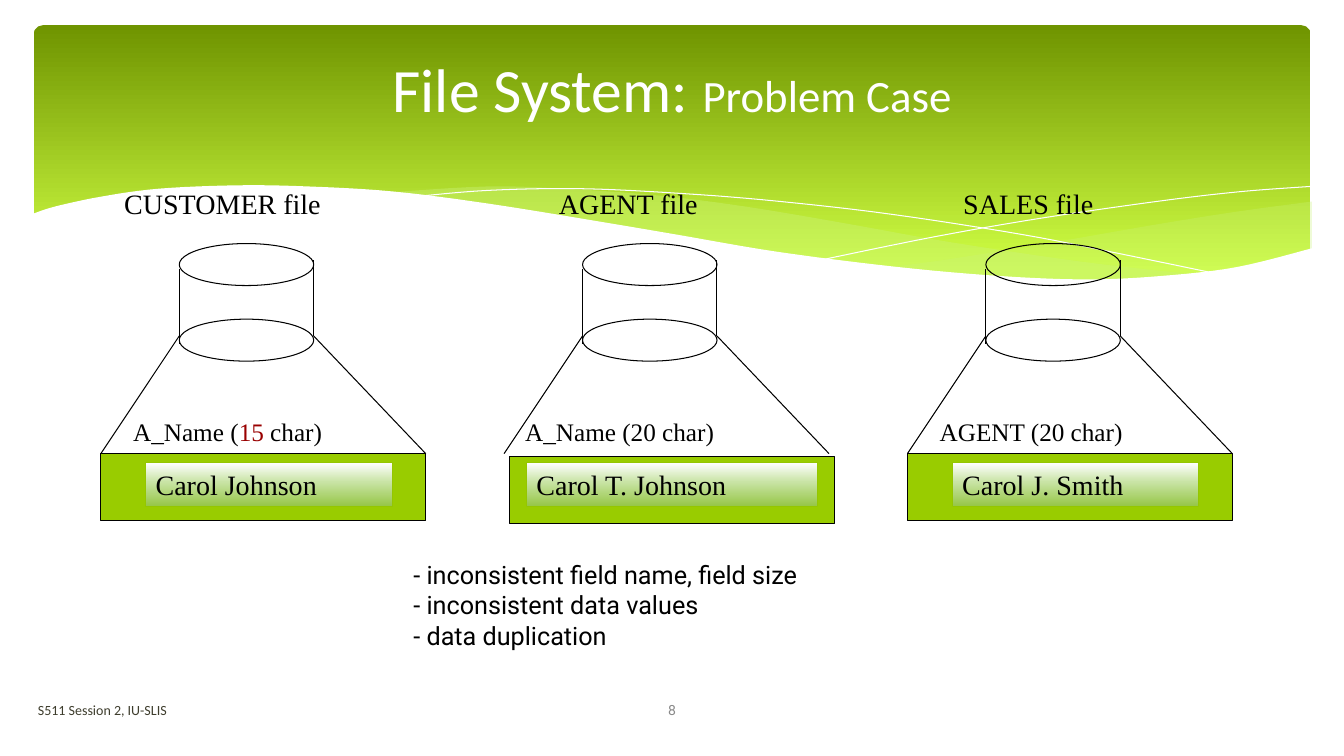
from dataclasses import dataclass
from lxml import etree
from pptx import Presentation
from pptx.dml.color import RGBColor
from pptx.enum.shapes import MSO_CONNECTOR as Link, MSO_SHAPE as Preset
from pptx.enum.text import MSO_ANCHOR as Anchor, MSO_AUTO_SIZE as Fit, PP_ALIGN as Align
from pptx.oxml.ns import qn
from pptx.util import Inches, Pt

CELL = Inches(1) / 9


@dataclass(frozen=True)
class Theme:
    heading: str = "Calibri"
    body: str = "Roboto"
    diagram: str = "Times New Roman"
    ink: str = "000000"
    paper: str = "FFFFFF"
    alert: str = "990000"
    record: str = "99CC00"
    edge: str = "94C600"
    crest: str = "CAF278"
    footer: str = "3E3D2D"
    number: str = "898989"
    banner: tuple = ((0, "6F9400"), (90, "D0FF44"))
    value: tuple = ((0, "FFFFFF"), (44, "C9E4A6"), (100, "96C647"))
    title_size: int = 44
    subtitle_size: int = 32
    label_size: int = 20
    text_size: int = 18
    small_size: int = 10
    stroke: float = 0.75


@dataclass(frozen=True)
class Box:
    col: float
    row: float
    cols: float
    rows: float

    def area(self, col, row, cols=0, rows=0):
        return Box(self.col + col, self.row + row, cols, rows)

    def emu(self):
        return [round(v * CELL) for v in (self.col, self.row, self.cols, self.rows)]


THEME = Theme()
WAVE = [(114.2, 19.9), (107.4, 21.6), (100.6, 22.4), (94, 22.7), (86.3, 22.4), (77.2, 21.6),
        (66.5, 20.25), (57.4, 18.7), (50.6, 17.55), (40.7, 15.95), (32.1, 14.85), (24.5, 14.4),
        (18.15, 14.3), (11.2, 14.6), (6.1, 15.3), (1.9, 16.2), (-0.2, 16.9)]
RIGHT_TOP = [(114.1, 15.75), (107.4, 16.65), (100.2, 17.8), (90.4, 19.5), (81.7, 20.9), (76.4, 21.6)]
RIGHT_BASE = [(76.4, 21.6), (83.2, 22.2), (90.7, 22.7), (98.3, 22.7), (104.6, 22.05),
              (110.1, 21.1), (114.1, 20)]
MIDDLE_TOP = [(104.1, 22.3), (93.8, 21.15), (81.7, 19.35), (72.5, 17.7), (63.6, 16.2),
              (55.7, 15.2), (47.4, 14.6), (40.4, 14.4), (31.4, 14.95)]
MIDDLE_BASE = [(31.4, 14.95), (40.5, 16), (50.9, 17.7), (60.5, 19.35), (71.2, 20.95),
               (80.3, 22.05), (88.3, 22.7), (96.4, 22.75), (104.1, 22.3)]
FALLING = [(34.1, 15.3), (40.6, 14.75), (48.9, 14.6), (58.2, 15.05), (66.75, 15.75),
           (76.7, 16.9), (88.3, 18.7), (96.7, 20.35), (105.9, 22.25)]
RISING = [(70.6, 20.9), (80.4, 18.9), (90.15, 17.2), (100.95, 15.65), (107.9, 14.85), (114, 14.4)]


def smooth(knots, steps=6):
    ends = [knots[0], *knots, knots[-1]]
    curve = [knots[0]]
    for a, b, c, d in zip(ends, ends[1:], ends[2:], ends[3:]):
        for step in range(1, steps + 1):
            t = step / steps
            curve.append(tuple(
                (2 * q + (r - p) * t + (2 * p - 5 * q + 4 * r - s) * t ** 2
                 + (3 * q - p - 3 * r + s) * t ** 3) / 2
                for p, q, r, s in zip(a, b, c, d)))
    return curve


def paint(shape, fill=None, line=None, width=THEME.stroke, opacity=None):
    shape.shadow.inherit = False
    shape.fill.background()
    if isinstance(fill, tuple):
        blank = shape.element.spPr.find(qn("a:noFill"))
        gradient = etree.Element(qn("a:gradFill"), rotWithShape="1")
        stops = etree.SubElement(gradient, qn("a:gsLst"))
        for position, color in fill:
            stop = etree.SubElement(stops, qn("a:gs"), pos=str(position * 1000))
            etree.SubElement(stop, qn("a:srgbClr"), val=color)
        etree.SubElement(gradient, qn("a:lin"), ang="5400000", scaled="0")
        blank.getparent().replace(blank, gradient)
    elif fill:
        shape.fill.solid()
        shape.fill.fore_color.rgb = RGBColor.from_string(fill)
    if opacity:
        color = shape.element.spPr.find(qn("a:solidFill"))[0]
        etree.SubElement(color, qn("a:alpha"), val=str(opacity * 1000))
    if line:
        shape.line.color.rgb = RGBColor.from_string(line)
        shape.line.width = Pt(width)
    else:
        shape.line.fill.background()


def style(runs, font, size, color=THEME.ink):
    for run in runs:
        run.font.name, run.font.size = font, Pt(size)
        run.font.color.rgb = RGBColor.from_string(color)


def add_text(shapes, box, text, font, size, color=THEME.ink, anchor=Anchor.TOP, align=Align.LEFT):
    frame = shapes.add_textbox(*box.emu()).text_frame
    frame.word_wrap, frame.vertical_anchor = True, anchor
    frame.text = text
    line = frame.paragraphs[0]
    line.alignment = align
    style(line.runs, font, size, color)
    return line


def add_preset(shapes, preset, box, **look):
    shape = shapes.add_shape(preset, *box.emu())
    paint(shape, **look)
    return shape


def add_line(shapes, box, start, end):
    ends = [v for point in (start, end) for v in box.area(*point).emu()[:2]]
    line = shapes.add_connector(Link.STRAIGHT, *ends)
    line.line.color.rgb = RGBColor.from_string(THEME.ink)
    line.line.width = Pt(THEME.stroke)
    etree.SubElement(line._element.spPr, qn("a:effectLst"))


def add_outline(shapes, box, points, close=True, **look):
    corners = [box.area(*point).emu()[:2] for point in points]
    builder = shapes.build_freeform(*corners[0])
    builder.add_line_segments(corners[1:], close=close)
    paint(builder.convert_to_shape(), **look)


def build_banner(shapes, box):
    panel = add_preset(shapes, Preset.ROUNDED_RECTANGLE, box, fill=THEME.banner)
    panel.adjustments[0] = 0.034
    for top, base, opacity in ((RIGHT_TOP, RIGHT_BASE, 29), (MIDDLE_TOP, MIDDLE_BASE, 40)):
        add_outline(shapes, box, smooth(top) + smooth(base), fill=THEME.crest, opacity=opacity)
    for streak in (FALLING, RISING):
        add_outline(shapes, box, smooth(streak), close=False, line=THEME.paper, width=0)
    add_outline(shapes, box, smooth(WAVE) + [(-0.2, 27.4), (114.2, 27.4)], fill=THEME.paper)


def build_title(title, box, heading, topic):
    title.left, title.top, title.width, title.height = box.emu()
    title.text_frame.text = heading
    title.text_frame.vertical_anchor = Anchor.MIDDLE
    line = title.text_frame.paragraphs[0]
    line.alignment = Align.CENTER
    line.add_run().text = topic
    style(line.runs[:1], THEME.heading, THEME.title_size, THEME.paper)
    style(line.runs[1:], THEME.heading, THEME.subtitle_size, THEME.paper)


def build_file(shapes, box, name, name_col, field, field_col, value, value_col, value_cols, shift):
    add_text(shapes, box.area(name_col, 0, 20, 4), name, THEME.diagram, THEME.label_size)
    for row in (5.55, 12.3):
        add_preset(shapes, Preset.OVAL, box.area(7, row, 12, 3.75), line=THEME.ink)
    for start, end in (((7, 7.8), (7, 14.55)), ((19, 7.05), (19, 13.8)),
                       ((7, 13.8), (0, 24.3)), ((29, 24.3), (19, 13.8))):
        add_line(shapes, box, start, end)
    add_preset(shapes, Preset.RECTANGLE, box.area(shift, 24.3 + shift / 2, 29, 6),
               fill=THEME.record, line=THEME.ink)
    before, size, after = field
    line = add_text(shapes, box.area(field_col, 20.55, 20, 3.6), before,
                    THEME.diagram, THEME.text_size)
    for text, color in ((size, THEME.alert), (after, THEME.ink)):
        if text:
            run = line.add_run()
            run.text = text
            style([run], THEME.diagram, THEME.text_size, color)
    entry = add_preset(shapes, Preset.RECTANGLE, box.area(value_col, 25.1, value_cols, 3.9),
                       fill=THEME.value, line=THEME.edge)
    entry.text_frame.text = value
    entry.text_frame.vertical_anchor = Anchor.TOP
    entry.text_frame.paragraphs[0].alignment = Align.LEFT
    style(entry.text_frame.paragraphs[0].runs, THEME.diagram, THEME.label_size)


def build_problems(body, box, problems):
    body.left, body.top, body.width, body.height = box.emu()
    body.text_frame.text = "\n".join(problems)
    body.text_frame.auto_size = Fit.NONE
    body.text_frame.vertical_anchor = Anchor.TOP
    for line in body.text_frame.paragraphs:
        line.space_before = Pt(0)
        style(line.runs, THEME.body, THEME.text_size)
        layout = line._p.get_or_add_pPr()
        layout.set("marL", "0")
        layout.set("indent", "0")
        etree.SubElement(layout, qn("a:buNone"))


def build_footer(shapes, box, session, number):
    add_text(shapes, box.area(0, 0, 50, 3.6), session, THEME.heading, THEME.small_size,
             THEME.footer, Anchor.MIDDLE)
    add_text(shapes, box.area(49.9, 0, 15.2, 3.6), number, THEME.body, THEME.small_size,
             THEME.number, Anchor.MIDDLE, Align.CENTER)


deck = Presentation()
deck.slide_width, deck.slide_height = Inches(13.33), Inches(7.5)
slide = deck.slides.add_slide(deck.slide_layouts[1])
shapes = slide.shapes
title, problems = shapes.title, slide.placeholders[1]

build_banner(shapes, Box(3, 2.25, 114, 24.4))
for placeholder in (title, problems):
    placeholder.element.getparent().append(placeholder.element)
build_title(title, Box(6, 2.25, 108, 11.25), "File System: ", "Problem Case")
FILES = [
    ("CUSTOMER file", 1.2, ("A_Name (", "15", " char)"), 2, "Carol Johnson", 4, 22, 0),
    ("AGENT file", 4, ("A_Name (20 char)", "", ""), 1, "Carol T. Johnson", 2, 26, 0.5),
    ("SALES file", 4.1, ("AGENT (20 char)", "", ""), 2, "Carol J. Smith", 4, 22, 0),
]
for index, file in enumerate(FILES):
    build_file(shapes, Box(9 + 36 * index, 16.2, 29, 31), *file)
build_problems(problems, Box(36, 49.5, 53, 9), [
    "- inconsistent field name, field size", "- inconsistent data values", "- data duplication"])
build_footer(shapes, Box(2.5, 61.6, 115, 3.6), "S511 Session 2, IU-SLIS", "8")
deck.save("out.pptx")
